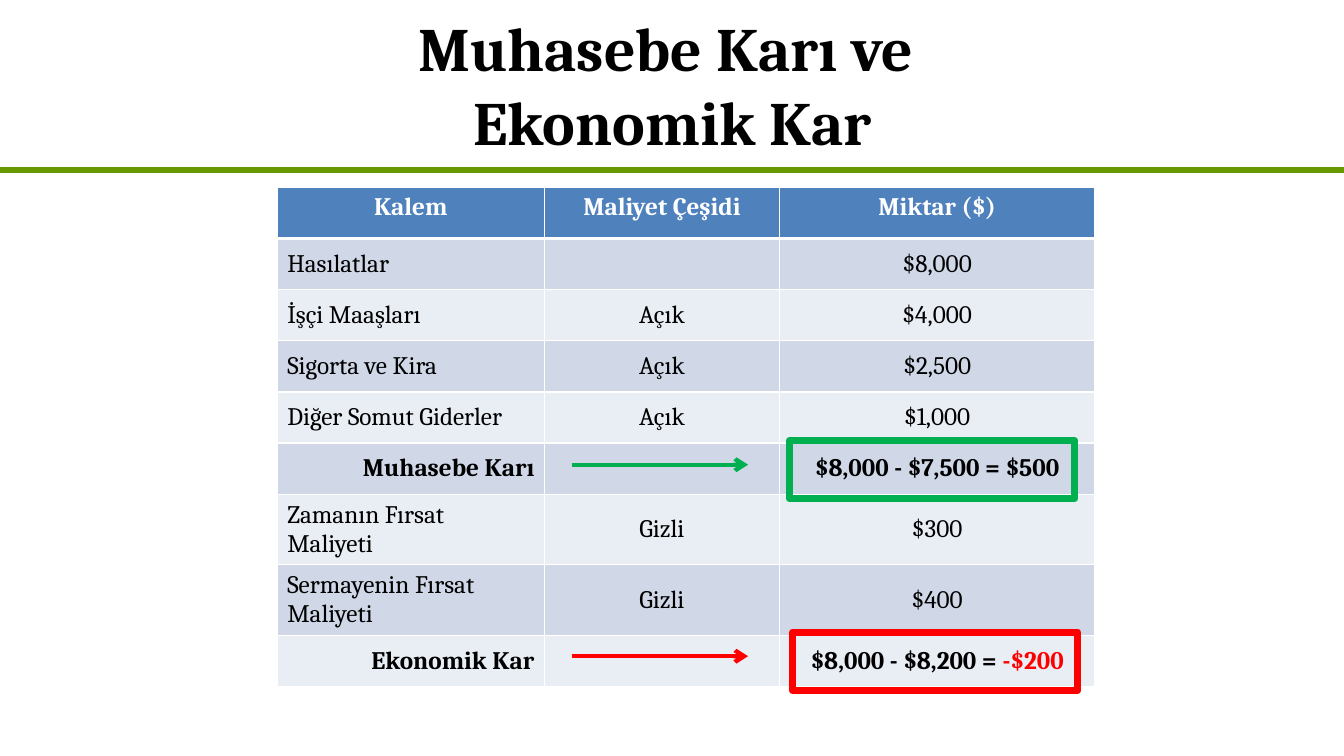
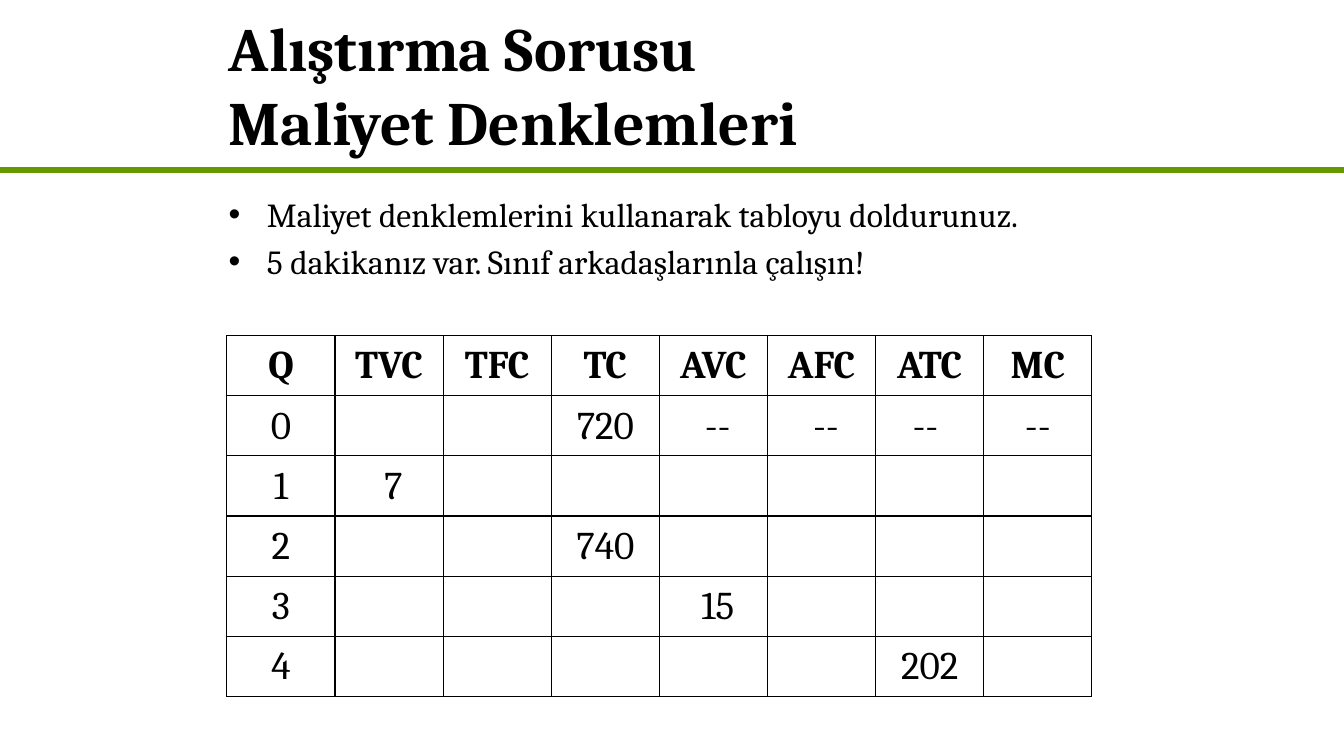
from lxml.etree import SubElement
from pptx import Presentation
from pptx.dml.color import RGBColor
from pptx.enum.shapes import MSO_CONNECTOR as Connector, MSO_SHAPE as Preset
from pptx.enum.text import MSO_ANCHOR as Anchor, MSO_AUTO_SIZE as AutoSize, PP_ALIGN as Align
from pptx.oxml.ns import qn
from pptx.util import Inches, Pt

BLACK, WHITE = "000000", "FFFFFF"
OLIVE, GREEN, RED = "669900", "00B050", "FF0000"
HEADER_BLUE, BANDS = "4F81BD", ("D0D8E8", "E9EDF4")
SLIDE_W, SLIDE_H = 13.33, 7.5
TITLE_H, RULE_Y = 1.67, 1.69
TITLE_FONT = {"name": "Cambria", "size": Pt(44), "bold": True}
BODY_FONT = {"name": "Cambria", "size": Pt(24), "bold": False}
PROFIT_FONT = {"name": "Cambria", "size": Pt(18)}
COST_FONT = {"name": "Cambria", "size": Pt(28)}
PROFIT_MARGINS = {
    "margin_left": Inches(0.1), "margin_right": Inches(0.1),
    "margin_top": Inches(0.05), "margin_bottom": Inches(0.05),
}
COST_MARGINS = {
    "margin_left": Inches(0.01), "margin_right": Inches(0.01),
    "margin_top": Inches(0.01), "margin_bottom": Inches(0),
}

PROFIT_HEADER = ("Kalem", "Maliyet Çeşidi", "Miktar ($)")
PROFIT_ITEMS = [
    ("Hasılatlar", "", "$8,000"),
    ("İşçi Maaşları", "Açık", "$4,000"),
    ("Sigorta ve Kira", "Açık", "$2,500"),
    ("Diğer Somut Giderler", "Açık", "$1,000"),
    ("Muhasebe Karı", "", "$8,000 - $7,500 = $500"),
    ("Zamanın Fırsat Maliyeti", "Gizli", "$300"),
    ("Sermayenin Fırsat Maliyeti", "Gizli", "$400"),
    ("Ekonomik Kar", "", "$8,000 - $8,200 = ", "-$200"),
]
RESULT_ROWS, TALL_ROWS = (5, 8), (6, 7)

COST_HEADER = ("Q", "TVC", "TFC", "TC", "AVC", "AFC", "ATC", "MC")
COST_GIVEN = {
    (1, 3): "720", (1, 4): " --", (1, 5): " --", (1, 6): "-- ", (1, 7): "--",
    (2, 1): " 7", (3, 3): "740", (4, 4): " 15", (5, 6): "202",
}
INSTRUCTIONS = (
    "Maliyet denklemlerini kullanarak tabloyu doldurunuz.",
    "5 dakikanız var. Sınıf arkadaşlarınla çalışın!",
)


def rgb(value):
    return RGBColor.from_string(value)


def box_inches(*lengths):
    return [Inches(length) for length in lengths]


def apply(target, values):
    for attribute, value in values.items():
        setattr(target, attribute, value)


def add_run(paragraph, text, font, color=BLACK):
    run = paragraph.add_run()
    run.text = text
    apply(run.font, font)
    run.font.color.rgb = rgb(color)


def add_line(shapes, start, end, color, width, arrow=False):
    line = shapes.add_connector(Connector.STRAIGHT, *box_inches(*start, *end))
    line.line.color.rgb = rgb(color)
    line.line.width = Pt(width)
    if arrow:
        SubElement(line.line._get_or_add_ln(), qn("a:tailEnd"), type="arrow")
    SubElement(line._element.spPr, qn("a:effectLst"))


def add_titled_slide(prs, lines, box, align):
    slide = prs.slides.add_slide(prs.slide_layouts[5])
    add_line(slide.shapes, (0, RULE_Y), (SLIDE_W, RULE_Y), OLIVE, 4.5)
    title = slide.shapes.title
    apply(title, dict(zip(("left", "top", "width", "height"), box_inches(*box))))
    apply(title.text_frame, {
        "word_wrap": True, "auto_size": AutoSize.NONE, "vertical_anchor": Anchor.MIDDLE})
    heading = title.text_frame.paragraphs[0]
    heading.alignment = align
    for index, line in enumerate(lines):
        if index:
            heading.add_line_break()
        add_run(heading, line, TITLE_FONT)
    return slide


def add_grid(slide, left, top, widths, heights):
    grid = slide.shapes.add_table(
        len(heights), len(widths),
        *box_inches(left, top, sum(widths), sum(heights))).table
    apply(grid, {"first_row": False, "horz_banding": False})
    for column, width in zip(grid.columns, widths):
        column.width = Inches(width)
    for row, height in zip(grid.rows, heights):
        row.height = Inches(height)
    return grid


def set_borders(cell, color, widths):
    for side, width in zip("LRTB", widths):
        border = SubElement(cell._tc.get_or_add_tcPr(), qn(f"a:ln{side}"), w=str(Pt(width)))
        SubElement(SubElement(border, qn("a:solidFill")), qn("a:srgbClr"), val=color)


def fill_cell(cell, runs, font, align, margins, anchor=Anchor.MIDDLE):
    apply(cell, {**margins, "vertical_anchor": anchor})
    paragraph = cell.text_frame.paragraphs[0]
    paragraph.alignment = align
    for text, color in runs:
        if text:
            add_run(paragraph, text, font, color)


def add_profit_table(slide, left, top, height):
    tall = 0.7
    short = (height - tall * len(TALL_ROWS)) / (len(PROFIT_ITEMS) + 1 - len(TALL_ROWS))
    heights = [tall if r in TALL_ROWS else short for r in range(len(PROFIT_ITEMS) + 1)]
    grid = add_grid(slide, left, top, (2.65, 2.33, 3.13), heights)
    for r, (item, kind, *amount) in enumerate([PROFIT_HEADER, *PROFIT_ITEMS]):
        header, result = r == 0, r in RESULT_ROWS
        font = {**PROFIT_FONT, "bold": header or result}
        first_align = Align.CENTER if header else Align.RIGHT if result else Align.LEFT
        text_color = WHITE if header else BLACK
        amount_runs = list(zip(amount, (text_color, RED)))
        columns = ([(item, text_color)], [(kind, text_color)], amount_runs)
        for c, runs in enumerate(columns):
            cell = grid.cell(r, c)
            set_borders(cell, WHITE, (1, 1, 3 if r == 1 else 1, 3 if header else 1))
            cell.fill.solid()
            cell.fill.fore_color.rgb = rgb(HEADER_BLUE if header else BANDS[(r - 1) % 2])
            fill_cell(cell, runs, font, Align.CENTER if c else first_align,
                      PROFIT_MARGINS, Anchor.TOP if header else Anchor.MIDDLE)


def add_result_marker(slide, left, top, frame_offset, color):
    marker = slide.shapes.add_group_shape().shapes
    arrow_y = top + 0.24
    add_line(marker, (left, arrow_y), (left + 1.75, arrow_y), color, 3, arrow=True)
    frame = marker.add_shape(
        Preset.RECTANGLE, *box_inches(left + frame_offset, top, 2.83, 0.58))
    frame.shadow.inherit = False
    frame.fill.background()
    frame.line.color.rgb = rgb(color)
    frame.line.width = Pt(5)


def add_instructions(slide, box):
    frame = slide.shapes.add_textbox(*box_inches(*box)).text_frame
    frame.word_wrap = True
    for index, instruction in enumerate(INSTRUCTIONS):
        paragraph = frame.add_paragraph() if index else frame.paragraphs[0]
        paragraph.space_before = Pt(4.8)
        properties = paragraph._p.get_or_add_pPr()
        properties.set("marL", str(Inches(0.38)))
        properties.set("indent", str(Inches(-0.38)))
        SubElement(properties, qn("a:buFont"), typeface="Arial")
        SubElement(properties, qn("a:buChar"), char="•")
        add_run(paragraph, instruction, BODY_FONT)


def add_cost_table(slide, left, top, width, height):
    column_count, row_count = len(COST_HEADER), 6
    grid = add_grid(slide, left, top, [width / column_count] * column_count,
                    [height / row_count] * row_count)
    for r in range(row_count):
        for c, heading in enumerate(COST_HEADER):
            quantity = str(r - 1) if c == 0 else ""
            text = COST_GIVEN.get((r, c), quantity) if r else heading
            cell = grid.cell(r, c)
            set_borders(cell, BLACK, (1, 1, 1, 1))
            cell.fill.background()
            fill_cell(cell, [(text, BLACK)], {**COST_FONT, "bold": r == 0},
                      Align.CENTER, COST_MARGINS)


def build_profit_slide(prs):
    slide = add_titled_slide(prs, ("Muhasebe Karı ve ", "Ekonomik Kar"),
                             (0.67, 0, 12, TITLE_H), Align.CENTER)
    add_profit_table(slide, 2.75, 1.86, 4.95)
    add_result_marker(slide, 5.67, 4.37, 2.16, GREEN)
    add_result_marker(slide, 5.67, 6.27, 2.19, RED)


def build_exercise_slide(prs):
    slide = add_titled_slide(prs, ("Alıştırma Sorusu", "Maliyet Denklemleri"),
                             (2.17, 0, 9, TITLE_H), Align.LEFT)
    add_instructions(slide, (2.17, 1.87, 9, 1.17))
    add_cost_table(slide, 2.25, 3.33, 8.58, 3.58)


def main():
    prs = Presentation()
    apply(prs, {"slide_width": Inches(SLIDE_W), "slide_height": Inches(SLIDE_H)})
    build_profit_slide(prs)
    build_exercise_slide(prs)
    prs.save("out.pptx")


if __name__ == "__main__":
    main()
